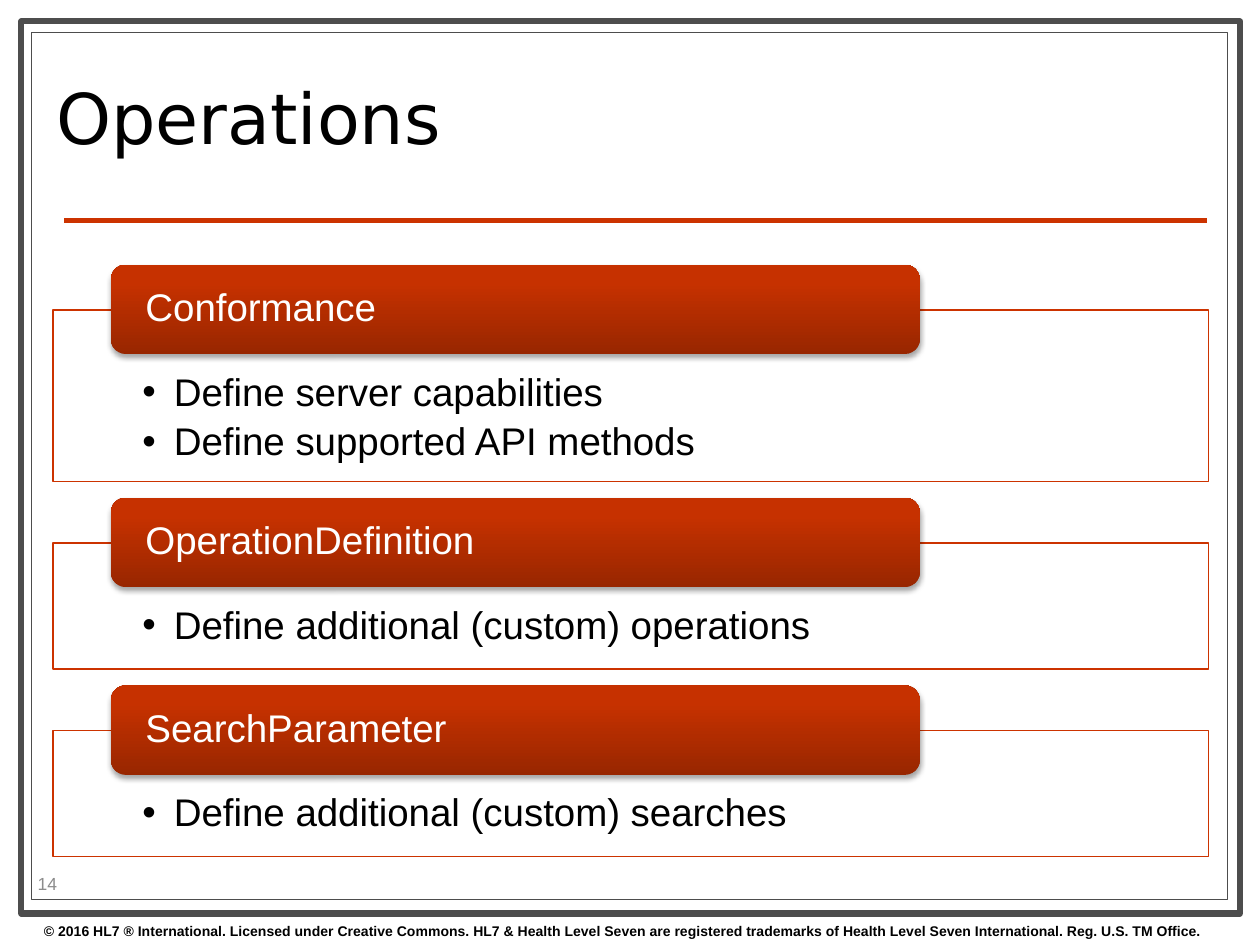
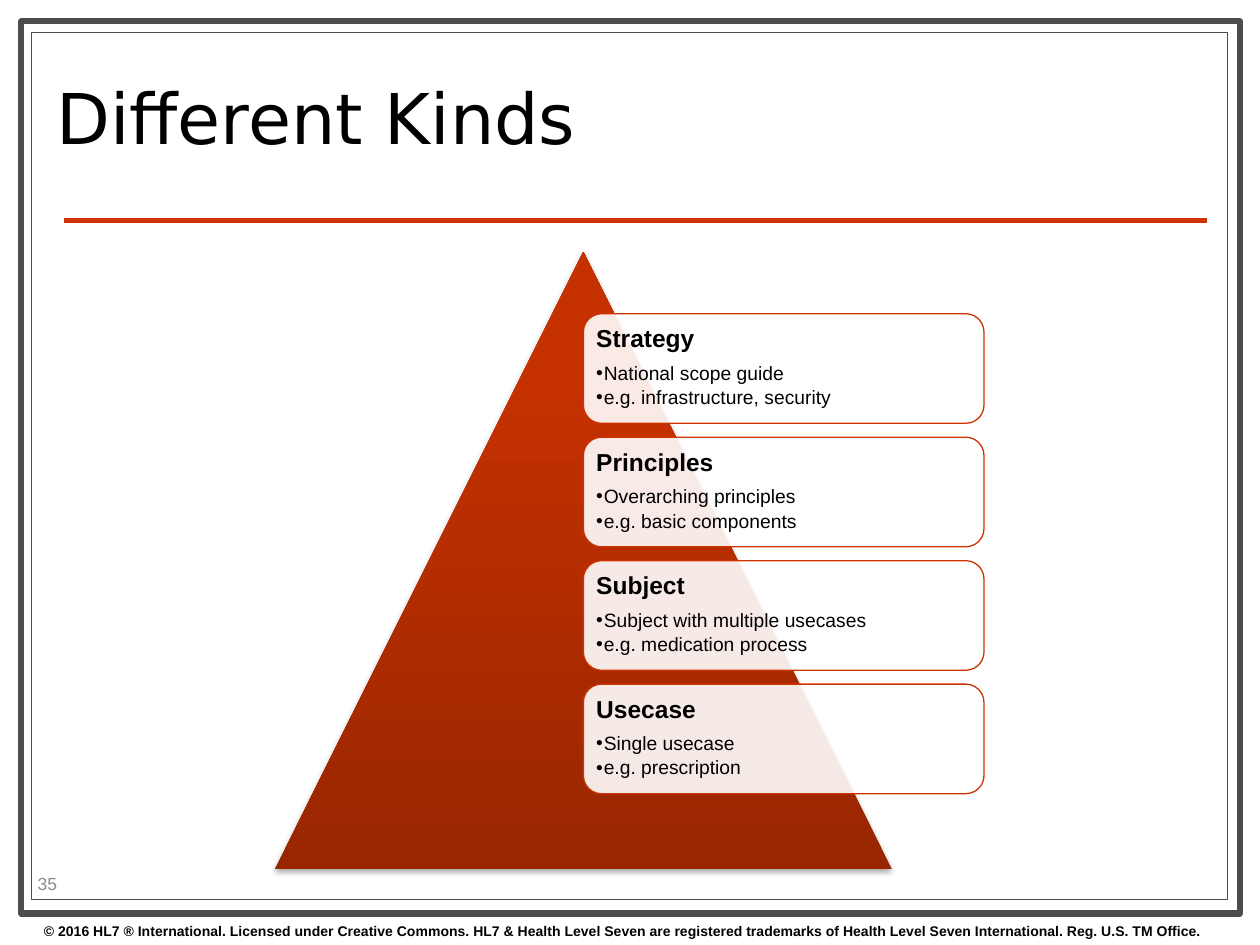
from dataclasses import dataclass

from lxml.etree import SubElement
from pptx import Presentation
from pptx.dml.color import RGBColor
from pptx.enum.shapes import MSO_CONNECTOR as Connector, MSO_SHAPE as Preset
from pptx.enum.text import MSO_ANCHOR as Anchor
from pptx.oxml.ns import qn
from pptx.util import Inches, Pt


@dataclass(frozen=True)
class Theme:
    body_font: str = "Arial"
    title_font: str = "DejaVu Sans"
    ink: str = "000000"
    paper: str = "FFFFFF"
    frame: str = "4D4D4D"
    accent: str = "CC3300"
    gradient: tuple = (("982600", 0), ("C63100", 0.8))
    page_number: str = "8C8C8C"
    title_size: int = 40
    section_size: int = 22
    card_heading_size: int = 14
    card_item_size: int = 11
    page_number_size: int = 10
    footer_size: int = 8


COPYRIGHT = (
    "© 2016 HL7 ® International. Licensed under Creative Commons. "
    "HL7 & Health Level Seven are registered trademarks of "
    "Health Level Seven International. Reg. U.S. TM Office."
)

SECTIONS = (
    ("Conformance", ("Define server capabilities", "Define supported API methods")),
    ("OperationDefinition", ("Define additional (custom) operations",)),
    ("SearchParameter", ("Define additional (custom) searches",)),
)

CARDS = (
    ("Strategy", ("National scope guide", "e.g. infrastructure, security")),
    ("Principles", ("Overarching principles", "e.g. basic components")),
    ("Subject", ("Subject with multiple usecases", "e.g. medication process")),
    ("Usecase", ("Single usecase", "e.g. prescription")),
)


def rgb(value):
    return RGBColor.from_string(value)


def assign(target, values):
    for name, value in values.items():
        setattr(target, name, value)


class Deck:
    def __init__(self, theme):
        self.theme = theme
        self.slide = None
        self.presentation = Presentation()
        assign(self.presentation, {"slide_width": Inches(10), "slide_height": Inches(7.5)})

    def start_slide(self, title, number):
        theme = self.theme
        self.slide = self.presentation.slides.add_slide(self.presentation.slide_layouts[6])
        self.outlined(Preset.RECTANGLE, (0.17, 0.17, 9.67, 7.08), theme.frame, 3.5)
        self.outlined(Preset.RECTANGLE, (0.25, 0.26, 9.49, 6.88), theme.frame, 0.75)
        self.rule((0.51, 1.75), (9.58, 1.75))
        self.label(COPYRIGHT, (0.25, 7.27, 10, 0.23), theme.footer_size,
                   bold=True, anchor=Anchor.TOP)
        self.label(title, (0.35, 0.36, 7.17, 1.26), theme.title_size,
                   font=theme.title_font, spacing=0.8)
        self.label(number, (0.2, 6.89, 0.79, 0.24), theme.page_number_size,
                   color=theme.page_number)

    def preset(self, kind, box):
        shape = self.slide.shapes.add_shape(kind, *map(Inches, box))
        shape.shadow.inherit = False
        return shape

    def outlined(self, kind, box, color, weight, opacity=None):
        shape = self.preset(kind, box)
        shape.fill.solid()
        shape.fill.fore_color.rgb = rgb(self.theme.paper)
        shape.line.color.rgb = rgb(color)
        shape.line.width = Pt(weight)
        if opacity:
            paper = shape._element.spPr.find(qn("a:solidFill")).find(qn("a:srgbClr"))
            SubElement(paper, qn("a:alpha"), val=str(opacity * 1000))
        return shape

    def raised(self, kind, box):
        shape = self.preset(kind, box)
        shape.fill.gradient()
        shape.fill.gradient_angle = 90
        for stop, (color, position) in zip(shape.fill.gradient_stops, self.theme.gradient):
            stop.color.rgb = rgb(color)
            stop.position = position
        shape.line.fill.background()
        effects = shape._element.spPr.find(qn("a:effectLst"))
        shadow = SubElement(effects, qn("a:outerShdw"), blurRad=str(Pt(3.1)),
                            dist=str(Pt(1.8)), dir="5400000", rotWithShape="0")
        shade = SubElement(shadow, qn("a:srgbClr"), val=self.theme.ink)
        SubElement(shade, qn("a:alpha"), val="35000")
        return shape

    def rule(self, start, end):
        line = self.slide.shapes.add_connector(
            Connector.STRAIGHT, *map(Inches, start + end))
        line.line.color.rgb = rgb(self.theme.accent)
        line.line.width = Pt(3)
        SubElement(line._element.spPr, qn("a:effectLst"))

    def label(self, text, box, size, anchor=Anchor.MIDDLE, **style):
        frame = self.slide.shapes.add_textbox(*map(Inches, box)).text_frame
        self.arrange(frame, anchor)
        self.add_text(frame, text, size, **style)

    def arrange(self, frame, anchor, insets=(0.1, 0.05, 0.1, 0.05)):
        sides = ("margin_left", "margin_top", "margin_right", "margin_bottom")
        assign(frame, {"word_wrap": True, "vertical_anchor": anchor,
                       **dict(zip(sides, map(Inches, insets)))})

    def add_text(self, frame, text, size, color=None, font=None, bold=False,
                 spacing=1.0, after=0, indent=None):
        paragraph = frame.paragraphs[0]
        if paragraph.runs:
            paragraph = frame.add_paragraph()
        properties = paragraph._p.get_or_add_pPr()
        properties.set("algn", "l")
        if indent:
            properties.set("marL", str(Inches(indent)))
            properties.set("indent", str(-Inches(indent)))
            SubElement(properties, qn("a:buFont"), typeface=self.theme.body_font)
            SubElement(properties, qn("a:buChar"), char="•")
        assign(paragraph, {"line_spacing": spacing, "space_after": Pt(after)})
        run = paragraph.add_run()
        run.text = text
        assign(run.font, {"name": font or self.theme.body_font,
                          "size": Pt(size), "bold": bold})
        run.font.color.rgb = rgb(color or self.theme.ink)

    def section(self, heading, items, top):
        theme = self.theme
        body_top = top + 0.36
        body_height = 0.64 + 0.36 * len(items)
        body = self.outlined(Preset.RECTANGLE, (0.42, body_top, 9.17, body_height),
                             theme.accent, 0.75, opacity=90).text_frame
        self.arrange(body, Anchor.TOP, (0.71, 0.5, 0.71, 0.17))
        for item in items:
            self.add_text(body, item, theme.section_size, spacing=0.9, after=4.5, indent=0.25)
        banner = self.raised(Preset.ROUNDED_RECTANGLE, (0.88, top, 6.42, 0.71)).text_frame
        self.arrange(banner, Anchor.MIDDLE, (0.24, 0, 0.24, 0))
        self.add_text(banner, heading, theme.section_size, color=theme.paper, spacing=0.9)
        return body_top + body_height

    def card(self, heading, items, top):
        theme = self.theme
        frame = self.outlined(Preset.ROUNDED_RECTANGLE, (4.63, top, 3.18, 0.87),
                              theme.accent, 0.75, opacity=90).text_frame
        self.arrange(frame, Anchor.TOP, (0.06,) * 4)
        self.add_text(frame, heading, theme.card_heading_size, bold=True, spacing=0.9, after=6)
        for item in items:
            self.add_text(frame, item, theme.card_item_size, spacing=0.9, after=2, indent=0.06)


def main():
    deck = Deck(Theme())

    deck.start_slide("Operations", "14")
    section_top = 2.1
    for heading, items in SECTIONS:
        section_top = deck.section(heading, items, section_top) + 0.13

    deck.start_slide("Different Kinds", "35")
    deck.raised(Preset.ISOSCELES_TRIANGLE, (2.18, 2, 4.9, 4.9))
    for row, (heading, items) in enumerate(CARDS):
        deck.card(heading, items, 2.49 + 0.98 * row)

    deck.presentation.save("out.pptx")


if __name__ == "__main__":
    main()
